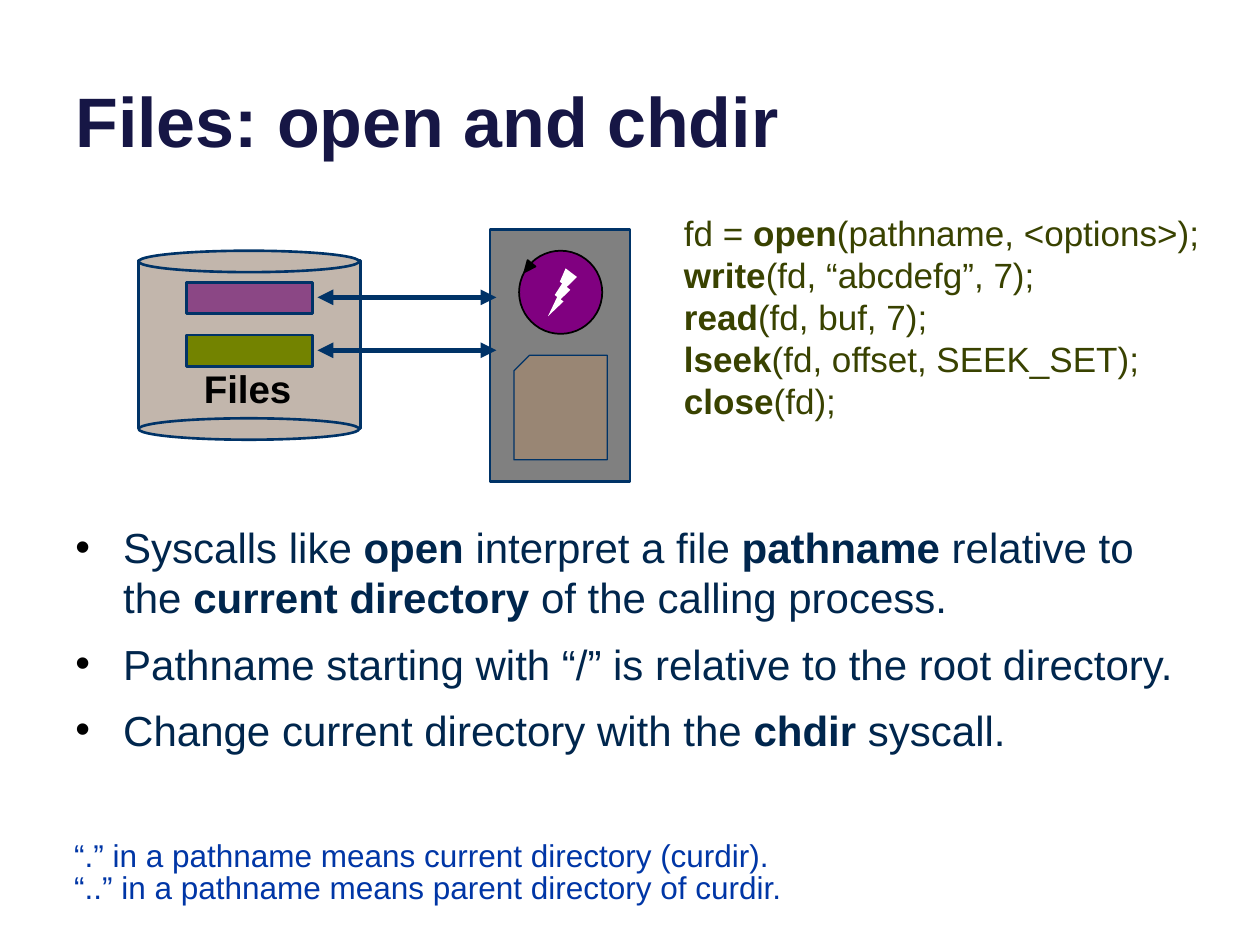
from dataclasses import dataclass

from lxml.etree import SubElement
from pptx import Presentation
from pptx.dml.color import RGBColor
from pptx.enum.shapes import MSO_CONNECTOR as Line, MSO_SHAPE as Shape
from pptx.enum.text import MSO_ANCHOR as Anchor, PP_ALIGN as Align
from pptx.oxml.ns import qn
from pptx.util import Inches, Pt


@dataclass(frozen=True)
class Theme:
    font: str = "Arial"
    title: str = "161645"
    body: str = "00264D"
    code: str = "394200"
    note: str = "0036A6"
    black: str = "000000"
    white: str = "FFFFFF"
    outline: str = "003367"
    memory: str = "808080"
    thread: str = "800080"
    page: str = "998674"
    disk: str = "C2B6AC"
    files: tuple = ("8B4785", "738300")
    title_size: int = 40
    body_size: int = 24
    label_size: int = 22
    code_size: int = 20
    note_size: int = 18


T = Theme()
WIDTH, HEIGHT = Inches(10), Inches(7.5)
COLS, ROWS = 100, 75

CODE = [
    "fd = *open*(pathname, <options>);",
    "*write*(fd, “abcdefg”, 7);",
    "*read*(fd, buf, 7);",
    "*lseek*(fd, offset, SEEK_SET);",
    "*close*(fd);",
]
BULLETS = [
    "Syscalls like *open* interpret a file *pathname* relative to the "
    "*current directory *of the calling process.",
    "Pathname starting with “/” is relative to the root directory.",
    "Change current directory with the *chdir *syscall.",
]
NOTES = [
    "“.” in a pathname means current directory (curdir).",
    "“..” in a pathname means parent directory of curdir.",
]


def grid(col, row, cols, rows):
    """Turn columns and rows into left, top, width and height."""
    return (int(col * WIDTH / COLS), int(row * HEIGHT / ROWS),
            int(cols * WIDTH / COLS), int(rows * HEIGHT / ROWS))


def rgb(color):
    return RGBColor.from_string(color)


def add_bullet(p):
    pPr = p._p.get_or_add_pPr()
    pPr.set("marL", str(Inches(0.38)))
    pPr.set("indent", str(-Inches(0.38)))
    color = SubElement(pPr, qn("a:buClr"))
    SubElement(color, qn("a:srgbClr"), val=T.black)
    SubElement(pPr, qn("a:buFont"), typeface=T.font)
    SubElement(pPr, qn("a:buChar"), char="•")


def add_text(s, place, lines, size, color, bullets=False, gap=0, spacing=None,
             anchor=Anchor.TOP, align=Align.LEFT):
    """Write one paragraph per line; words between asterisks are bold."""
    tf = s.shapes.add_textbox(*grid(*place)).text_frame
    tf.word_wrap = True
    tf.vertical_anchor = anchor
    for i, line in enumerate(lines):
        p = tf.paragraphs[0] if i == 0 else tf.add_paragraph()
        if bullets:
            add_bullet(p)
        p.alignment = align
        if i and gap:
            p.space_before = Pt(gap)
        if spacing:
            p.line_spacing = spacing
        for j, part in enumerate(line.split("*")):
            if not part:
                continue
            r = p.add_run()
            r.text = part
            r.font.name = T.font
            r.font.size = Pt(size)
            r.font.bold = j % 2 == 1
            r.font.color.rgb = rgb(color)


def add_figure(shapes, kind, place, fill, line=T.outline, weight=1.5,
               flip=False, rotation=0):
    sp = shapes.add_shape(kind, *grid(*place))
    sp.shadow.inherit = False
    sp.fill.solid()
    sp.fill.fore_color.rgb = rgb(fill)
    if line:
        sp.line.color.rgb = rgb(line)
        sp.line.width = Pt(weight)
    else:
        sp.line.fill.background()
    sp.rotation = rotation
    if flip:
        sp._element.spPr.find(qn("a:xfrm")).set("flipH", "1")


def add_double_arrow(s, col, row, cols):
    x, y, length, _ = grid(col, row, cols, 0)
    c = s.shapes.add_connector(Line.STRAIGHT, x, y, x + length, y)
    c.line.color.rgb = rgb(T.outline)
    c.line.width = Pt(3)
    ln = c.line._get_or_add_ln()
    for end in ("a:headEnd", "a:tailEnd"):
        SubElement(ln, qn(end), type="triangle")
    SubElement(c._element.spPr, qn("a:effectLst"))


def add_process(s):
    add_figure(s.shapes, Shape.RECTANGLE, (38.9, 18.2, 11.1, 20), T.memory)
    thread = s.shapes.add_group_shape().shapes
    add_figure(thread, Shape.OVAL, (41.2, 19.9, 6.6, 6.6), T.thread, T.black, 1)
    add_figure(thread, Shape.LIGHTNING_BOLT, (43.5, 21.3, 2.3, 3.8), T.white,
               None, flip=True)
    add_figure(thread, Shape.ISOSCELES_TRIANGLE, (41.5, 20.8, 0.8, 0.9),
               T.black, T.black, 1, rotation=219)
    add_figure(s.shapes, Shape.SNIP_1_RECTANGLE, (40.8, 28.2, 7.4, 8.3), T.page,
               weight=0.75, flip=True)


def add_disk(s):
    """Draw the cylinder, its files and the arrows to the process."""
    left, top, bottom = 11, 20.7, 34
    add_figure(s.shapes, Shape.RECTANGLE, (left, top, 17.6, bottom - top), T.disk)
    for rim in (top, bottom):
        add_figure(s.shapes, Shape.OVAL, (left, rim - 0.8, 17.5, 1.7), T.disk)
    for i, color in enumerate(T.files):
        row = 22.4 + 4.2 * i
        add_double_arrow(s, 25.2, row + 1.2, 14.2)
        add_figure(s.shapes, Shape.RECTANGLE, (14.8, row, 10, 2.5), color)
    add_text(s, (11.2, 28.5, 16.9, 4.7), ["*Files*"], T.label_size, T.black,
             align=Align.CENTER)


def main():
    prs = Presentation()
    prs.slide_width, prs.slide_height = WIDTH, HEIGHT
    s = prs.slides.add_slide(prs.slide_layouts[6])
    add_text(s, (5, -3.7, 90, 17), ["*Files: open and chdir*"], T.title_size,
             T.title, anchor=Anchor.BOTTOM)
    add_text(s, (5, 40.9, 90, 21.5), BULLETS, T.body_size, T.body,
             bullets=True, gap=9)
    add_process(s)
    add_text(s, (53.3, 16.3, 67.5, 21.2), CODE, T.code_size, T.code)
    add_disk(s)
    add_text(s, (4.9, 66.3, 72.5, 6.2), NOTES, T.note_size, T.note, spacing=0.85)
    prs.save("out.pptx")


if __name__ == "__main__":
    main()
